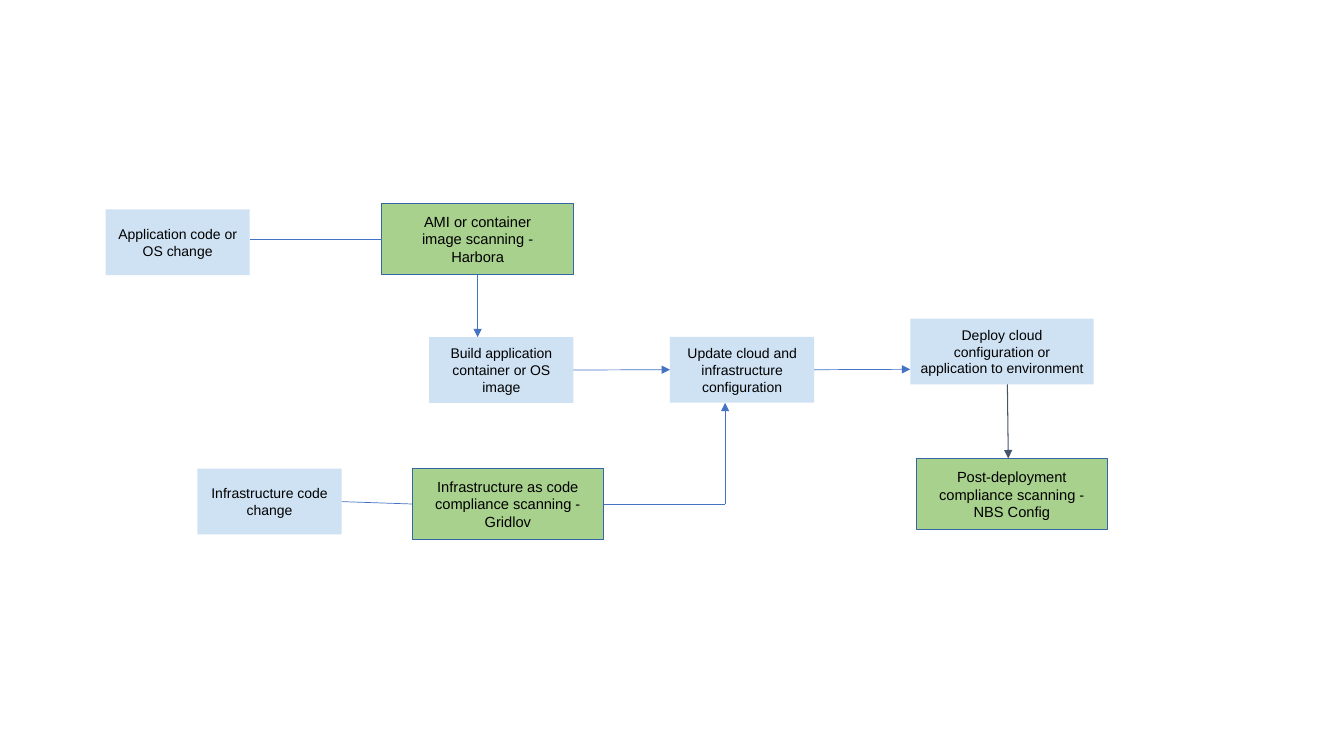
from lxml.etree import SubElement
from pptx import Presentation
from pptx.dml.color import RGBColor
from pptx.enum.shapes import MSO_CONNECTOR, MSO_SHAPE
from pptx.enum.text import MSO_ANCHOR, PP_ALIGN
from pptx.oxml.ns import qn
from pptx.util import Pt

TOP, LEFT, BOTTOM, RIGHT = range(4)
STEP_HEIGHT = 47
SCAN_WIDTH, SCAN_HEIGHT = 136.8, 50.8
BLUE, SLATE = "4472C4", "44546A"

# name: (left, top, width, text)
STEPS = {
    "build": (306.6, 240.8, 103, "Build application container or OS image"),
    "deploy": (650.2, 227.6, 131, "Deploy cloud configuration or application to environment"),
    "update": (478.6, 240.6, 103, "Update cloud and infrastructure configuration"),
    "application": (75.4, 149.6, 103, "Application code or OS change"),
    "infrastructure": (141, 334.8, 103, "Infrastructure code change"),
}
# name: (left, top, lines)
SCANS = {
    "code scan": (294.4, 334.6, ["Infrastructure as code", "compliance scanning -", "Gridlov"]),
    "image scan": (272.8, 145.4, ["AMI or container", "image scanning -", "Harbora"]),
    "compliance scan": (654.4, 327.6, ["Post-deployment", "compliance scanning -", "NBS Config"]),
}
# Ends are either (box, side) or a point (x, y): (start, end, colour, width, has arrowhead)
TURN = (518, 360)
LINKS = [
    ((719.6, 274.6), (720.2, 327.4), SLATE, 0.75, True),
    (("build", RIGHT), ("update", LEFT), BLUE, 0.5, True),
    (("update", RIGHT), (650.2, 263.8), BLUE, 0.5, True),
    ((178.4, 170.8), ("image scan", LEFT), BLUE, 0.5, False),
    (("image scan", BOTTOM), (341.2, 240.8), BLUE, 0.5, True),
    (("infrastructure", RIGHT), ("code scan", LEFT), BLUE, 0.5, False),
    (("code scan", RIGHT), TURN, BLUE, 0.5, False),
    (TURN, (518, 287.8), BLUE, 0.5, True),
]


def colour(value):
    return RGBColor.from_string(value)


def add_box(slide, bounds, lines, fill, size, inset, outline=None):
    shape = slide.shapes.add_shape(MSO_SHAPE.RECTANGLE, *map(Pt, bounds))
    shape.shadow.inherit = False
    shape.fill.solid()
    shape.fill.fore_color.rgb = colour(fill)
    if outline:
        shape.line.color.rgb = colour(outline)
        shape.line.width = Pt(0.75)
    else:
        shape.line.fill.background()
    frame = shape.text_frame
    frame.word_wrap = outline is None
    frame.vertical_anchor = MSO_ANCHOR.MIDDLE
    frame.margin_left = frame.margin_right = Pt(7.2)
    frame.margin_top = frame.margin_bottom = Pt(inset)
    for index, line in enumerate(lines):
        paragraph = frame.add_paragraph() if index else frame.paragraphs[0]
        paragraph.alignment = PP_ALIGN.CENTER
        run = paragraph.add_run()
        run.text = line
        run.font.name = "Arial"
        run.font.size = Pt(size)
        run.font.color.rgb = colour("000000")
    return shape


def add_link(slide, boxes, start, end, line_colour, width, has_arrowhead):
    def is_joined(place):
        return place[0] in boxes

    points = [(0, 0) if is_joined(place) else place for place in (start, end)]
    connector = slide.shapes.add_connector(
        MSO_CONNECTOR.STRAIGHT, *(Pt(value) for point in points for value in point))
    if is_joined(start):
        connector.begin_connect(boxes[start[0]], start[1])
    if is_joined(end):
        connector.end_connect(boxes[end[0]], end[1])
    connector.line.color.rgb = colour(line_colour)
    connector.line.width = Pt(width)
    if has_arrowhead:
        SubElement(connector.line._get_or_add_ln(), qn("a:tailEnd"), type="triangle")
    SubElement(connector._element.spPr, qn("a:effectLst"))


def main():
    presentation = Presentation()
    presentation.slide_width, presentation.slide_height = Pt(960), Pt(540)
    slide = presentation.slides.add_slide(presentation.slide_layouts[6])
    boxes = {}
    for name, (left, top, width, text) in STEPS.items():
        boxes[name] = add_box(slide, (left, top, width, STEP_HEIGHT), [text], "CFE2F3", 10, 7.2)
    for name, (left, top, lines) in SCANS.items():
        boxes[name] = add_box(slide, (left, top, SCAN_WIDTH, SCAN_HEIGHT), lines,
                              "A9D18E", 10.5, 3.6, "3465A4")
    for link in LINKS:
        add_link(slide, boxes, *link)
    presentation.save("out.pptx")


if __name__ == "__main__":
    main()
